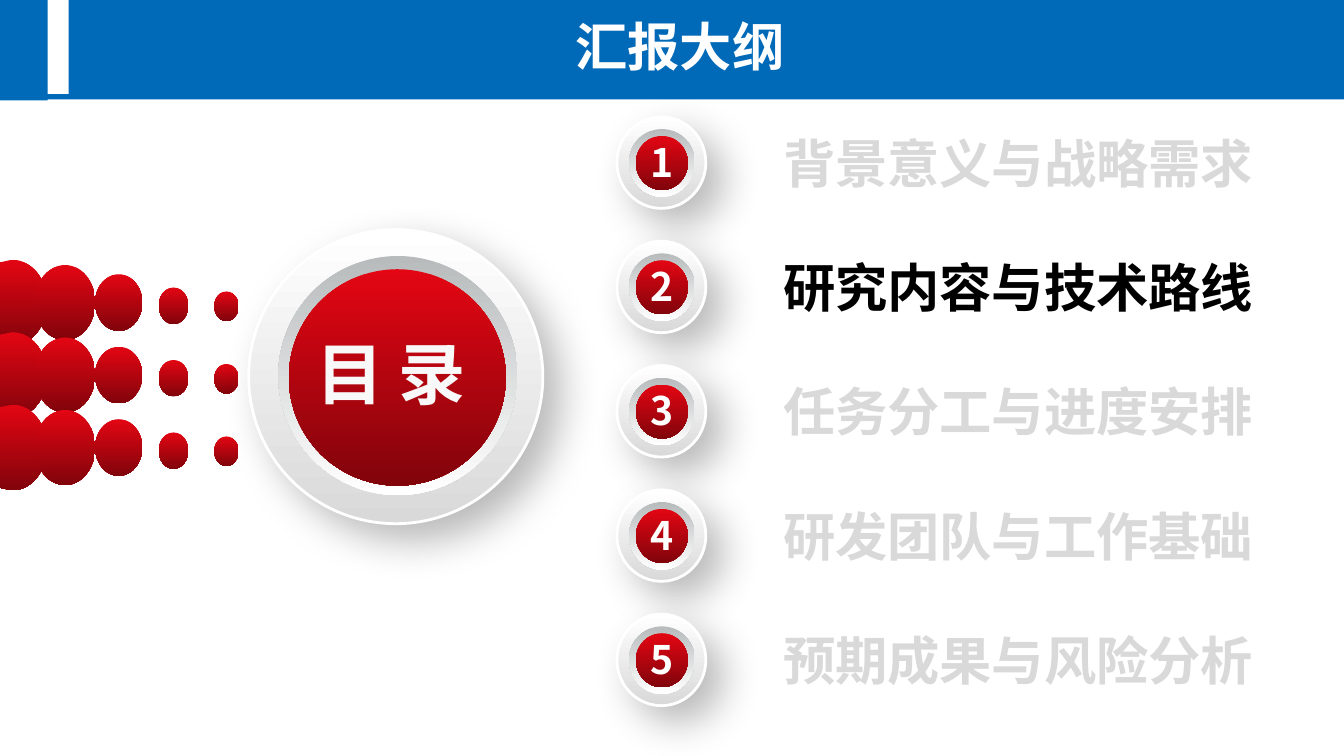
from dataclasses import dataclass

from lxml import etree
from pptx import Presentation
from pptx import util as u
from pptx.dml.color import RGBColor
from pptx.enum import shapes, text
from pptx.oxml.ns import qn

Cm = u.Cm


@dataclass(frozen=True)
class Theme:
    blue: str = "0069B8"
    white: str = "FFFFFF"
    soft_white: str = "F8F8F8"
    muted: str = "D9D9D9"
    active: str = "000000"
    red: tuple = ("E30613", "81040B")
    rim: tuple = ("FFFFFF", "D9D9D9")
    groove: tuple = ("B8BBBC", "FFFFFF")
    shadow: str = "000000"
    latin: str = "Arial"
    cjk: str = "Noto Sans CJK SC"
    hub_size: int = 36
    heading_size: int = 28
    number_size: int = 21


def write(frame, content, *, size, color, font, cjk, align=None, wrap=True, margins=True):
    """Put one bold line of text into a text frame."""
    frame.word_wrap = wrap
    frame.auto_size = text.MSO_AUTO_SIZE.SHAPE_TO_FIT_TEXT
    if not margins:
        frame.margin_left = frame.margin_right = 0
        frame.margin_top = frame.margin_bottom = 0
    line = frame.paragraphs[0]
    line.alignment = align
    run = line.add_run()
    run.text = content
    run.font.size = u.Pt(size)
    run.font.bold = True
    run.font.name = font
    run.font.color.rgb = RGBColor.from_string(color)
    etree.SubElement(run.font._element, qn("a:ea"), typeface=cjk)


class OutlineSlide:
    def __init__(self, slide, theme):
        self.slide = slide
        self.theme = theme

    def paint(self, shape, fill):
        """Fill with one colour, or with a (top, bottom) gradient."""
        shape.shadow.inherit = False
        shape.line.fill.background()
        if isinstance(fill, str):
            shape.fill.solid()
            shape.fill.fore_color.rgb = RGBColor.from_string(fill)
            return
        shape.fill.gradient()
        shape.fill.gradient_angle = 270
        for stop, color, position in zip(shape.fill.gradient_stops, fill, (0, 1)):
            stop.color.rgb = RGBColor.from_string(color)
            stop.position = position

    def preset(self, kind, left, top, width, height, fill):
        shape = self.slide.shapes.add_shape(
            kind, Cm(left), Cm(top), Cm(width), Cm(height))
        self.paint(shape, fill)
        return shape

    def bar(self, *box):
        self.preset(shapes.MSO_SHAPE.RECTANGLE, *box, self.theme.blue)

    def ellipse(self, *box, fill):
        return self.preset(shapes.MSO_SHAPE.OVAL, *box, fill)

    def cut_ellipse(self, center_x, center_y, radius_x, radius_y, cut_y):
        """Red ellipse cut off by the left edge of the slide."""
        right = center_x + radius_x
        top, bottom = center_y - radius_y, center_y + radius_y
        corners = [(center_x, top), (0, center_y - cut_y), (0, center_y + cut_y),
                   (center_x, bottom), (right, center_y), (center_x, top)]
        points = [(Cm(x), Cm(y)) for x, y in corners]
        builder = self.slide.shapes.build_freeform(*points[0])
        builder.add_line_segments(points[1:], close=True)
        shape = builder.convert_to_shape()
        self.paint(shape, self.theme.red)

        # Bend the last two segments into quarter arcs
        bend_x, bend_y = 0.55 * radius_x, 0.55 * radius_y
        arcs = [((center_x + bend_x, bottom), (right, center_y + bend_y)),
                ((right, center_y - bend_y), (center_x + bend_x, top))]
        segments = list(shape._element.spPr.iter(qn("a:lnTo")))[3:5]
        for segment, handles in zip(segments, arcs):
            segment.tag = qn("a:cubicBezTo")
            for place, (x, y) in enumerate(handles):
                handle = etree.Element(
                    qn("a:pt"), x=str(Cm(x)), y=str(Cm(y) - shape.top))
                segment.insert(place, handle)

    def button(self, rim_box, groove_box, core_box):
        """Raised rim with a drop shadow, a groove and a red core."""
        rim = self.ellipse(*rim_box, fill=self.theme.rim)
        rim.line.color.rgb = RGBColor.from_string(self.theme.white)
        rim.line.width = u.Pt(1.5)
        effects = rim._element.spPr.find(qn("a:effectLst"))
        shadow = etree.SubElement(
            effects, qn("a:outerShdw"), blurRad=str(u.Pt(22)), dist=str(u.Pt(12)),
            dir=str(45 * 60000), algn="tl", rotWithShape="0")
        color = etree.SubElement(shadow, qn("a:srgbClr"), val=self.theme.shadow)
        etree.SubElement(color, qn("a:alpha"), val="28000")
        groove = self.preset(
            shapes.MSO_SHAPE.ROUNDED_RECTANGLE, *groove_box, self.theme.groove)
        groove.adjustments[0] = 0.5
        self.ellipse(*core_box, fill=self.theme.red)

    def label(self, content, left, top, width, height, **style):
        box = self.slide.shapes.add_textbox(
            Cm(left), Cm(top), Cm(width), Cm(height))
        style = {"font": self.theme.latin, "cjk": self.theme.cjk, **style}
        write(box.text_frame, content, **style)


TOPICS = ["背景意义与战略需求", "研究内容与技术路线", "任务分工与进度安排",
          "研发团队与工作基础", "预期成果与风险分析"]
CURRENT_TOPIC = 2
TOPIC_PITCH = 2.35

# Left, drop below the row's middle, width and height of each whole dot
DOTS = [(0.66, 0, 1.14, 1.42), (1.8, 0, 0.89, 1.07),
        (3, 0.06, 0.56, 0.69), (4.05, 0.07, 0.46, 0.56)]
DOT_ROWS = 3
DOT_PITCH = 1.37


def main():
    deck = Presentation()
    deck.slide_width, deck.slide_height = Cm(25.4), Cm(14.29)
    theme = Theme()
    page = OutlineSlide(deck.slides.add_slide(deck.slide_layouts[6]), theme)
    centered = text.PP_ALIGN.CENTER

    # Header band
    page.bar(0, 0, 0.9, 1.9)
    page.bar(0, 1.78, 25.4, 0.1)
    page.bar(1.3, 0, 24.1, 1.8)
    page.label("汇报大纲", 0.3, 0.15, 25.1, 1.45, size=theme.heading_size,
               color=theme.white, align=centered)

    # Rows of shrinking dots
    for row in range(DOT_ROWS):
        middle = 5.72 + row * DOT_PITCH
        page.cut_ellipse(0.23, middle, 0.66, 0.81, 0.76)
        for left, drop, width, height in DOTS:
            page.ellipse(left, middle + drop - height / 2, width, height,
                         fill=theme.red)

    # Contents hub
    page.button((4.7, 4.34, 5.56, 5.56), (5.26, 4.84, 4.52, 4.52),
                (5.46, 5.09, 4.1, 4.09))
    page.label("目 录", 5.73, 6.15, 3.4, 1.8, size=theme.hub_size,
               color=theme.soft_white, wrap=False)

    # Numbered topics
    for number, topic in enumerate(TOPICS, 1):
        top = 2.21 + (number - 1) * TOPIC_PITCH
        page.button((11.66, top, 1.68, 1.73), (11.89, top + 0.23, 1.24, 1.28),
                    (12.02, top + 0.36, 0.98, 1.02))
        page.label(str(number), 12.29, top + 0.4, 0.61, 0.89, font=theme.cjk,
                   size=theme.number_size, color=theme.white, margins=False)
        page.label(topic, 14.54, top + 0.14, 9.4, 1.45, size=theme.heading_size,
                   color=theme.active if number == CURRENT_TOPIC else theme.muted,
                   align=centered, wrap=False)

    deck.save("out.pptx")


if __name__ == "__main__":
    main()
